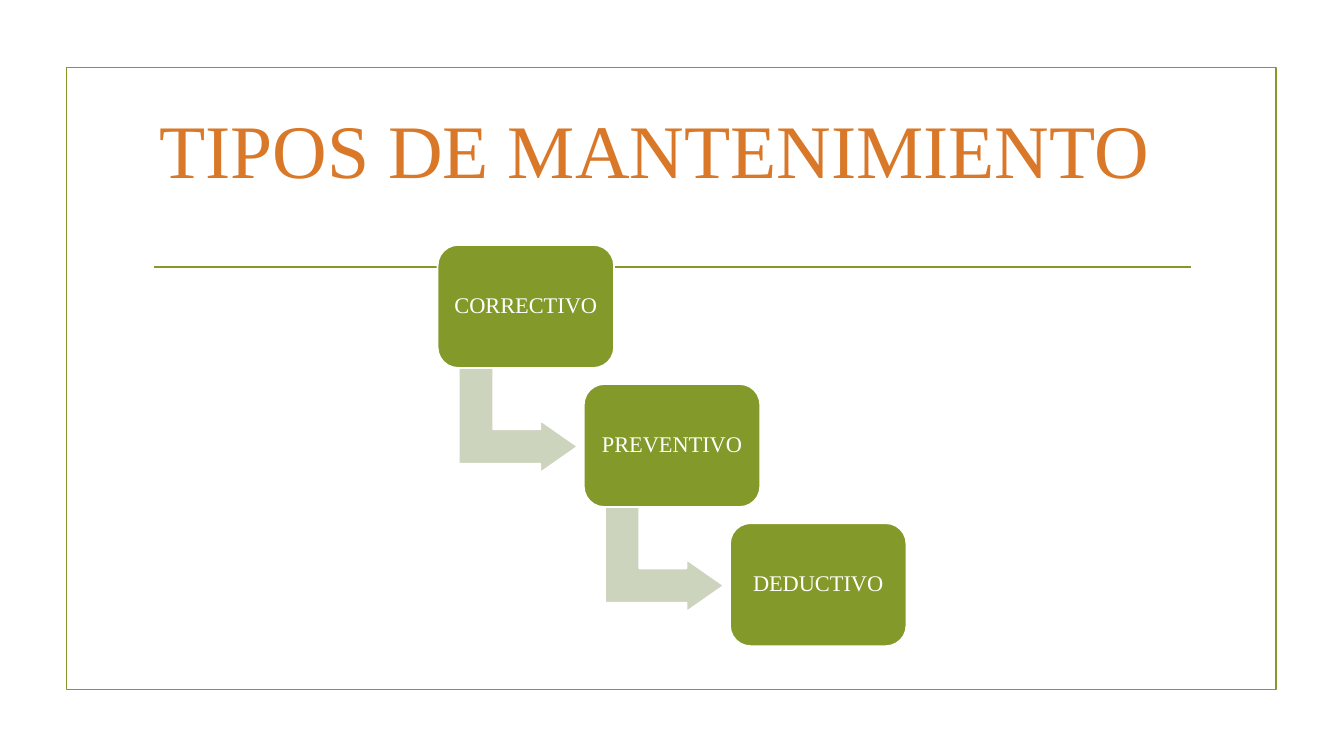
from pptx import Presentation
from pptx.dml.color import RGBColor
from pptx.enum.shapes import MSO_CONNECTOR, MSO_SHAPE
from pptx.enum.text import MSO_ANCHOR, MSO_AUTO_SIZE, PP_ALIGN
from pptx.oxml.ns import qn
from pptx.util import Inches, Pt
from lxml import etree

RECTANGLE = MSO_SHAPE.RECTANGLE
ROUNDED = MSO_SHAPE.ROUNDED_RECTANGLE
BENT_ARROW = MSO_SHAPE.BENT_UP_ARROW
STRAIGHT = MSO_CONNECTOR.STRAIGHT
MIDDLE = MSO_ANCHOR.MIDDLE
CENTER = PP_ALIGN.CENTER
GROW = MSO_AUTO_SIZE.SHAPE_TO_FIT_TEXT

FONT = "Times New Roman"
GREEN, PALE_GREEN, ORANGE, WHITE = "83992A", "CDD4BE", "D97828", "FFFFFF"
LINE_WIDTH = Pt(1.25)

STEPS = ["CORRECTIVO", "PREVENTIVO", "DEDUCTIVO"]
FIRST_LEFT, FIRST_TOP = 4.34, 2.43
STEP_RIGHT, STEP_DOWN = 1.45, 1.38


def color(hex_value):
    return RGBColor.from_string(hex_value)


def add_box(page, preset, left, top, width, height, line, fill=None, adjustments=()):
    box = page.shapes.add_shape(
        preset, Inches(left), Inches(top), Inches(width), Inches(height))
    box.shadow.inherit = False
    if fill:
        box.fill.solid()
        box.fill.fore_color.rgb = color(fill)
    else:
        box.fill.background()
    box.line.color.rgb = color(line)
    box.line.width = LINE_WIDTH
    for index, value in enumerate(adjustments):
        box.adjustments[index] = value
    return box


def add_rule(page, left, right, top):
    rule = page.shapes.add_connector(
        STRAIGHT, Inches(left), Inches(top), Inches(right), Inches(top))
    rule.line.color.rgb = color(GREEN)
    rule.line.width = LINE_WIDTH
    etree.SubElement(rule._element.spPr, qn("a:effectLst"))


def write(frame, text, size, hex_value):
    frame.text = text
    para = frame.paragraphs[0]
    para.alignment = CENTER
    span = para.runs[0]
    span.font.name = FONT
    span.font.size = Pt(size)
    span.font.color.rgb = color(hex_value)
    return para


def add_title(page, text):
    box = page.shapes.add_textbox(
        Inches(1.31), Inches(0.97), Inches(10.36), Inches(1.01))
    box.text_frame.word_wrap = False
    box.text_frame.auto_size = GROW
    write(box.text_frame, text, 54, ORANGE)


def add_step(page, left, top, text):
    box = add_box(page, ROUNDED, left, top, 1.75, 1.22, WHITE, GREEN, [0.167])
    frame = box.text_frame
    frame.word_wrap = True
    frame.vertical_anchor = MIDDLE
    frame.margin_left = frame.margin_right = Inches(0.07)
    frame.margin_top = frame.margin_bottom = Inches(0.07)
    para = write(frame, text, 16, WHITE)
    para.line_spacing = 0.9


def add_step_arrow(page, left, top):
    arrow = add_box(page, BENT_ARROW, left, top, 1.04, 1.18, WHITE, PALE_GREEN,
                    [0.328, 0.25, 0.358])
    arrow.rotation = 90


def main():
    deck = Presentation()
    deck.slide_width, deck.slide_height = Inches(13.33), Inches(7.5)
    page = deck.slides.add_slide(deck.slide_layouts[6])

    # Frame and rule
    add_box(page, RECTANGLE, 0.66, 0.67, 12, 6.17, GREEN)
    add_rule(page, 1.53, 11.81, 2.65)

    # Staircase of steps, with an arrow from each to the next
    for index, step in enumerate(STEPS):
        left = FIRST_LEFT + index * STEP_RIGHT
        top = FIRST_TOP + index * STEP_DOWN
        if index < len(STEPS) - 1:
            add_step_arrow(page, left + 0.28, top + 1.15)
        add_step(page, left, top, step)

    # Title
    add_title(page, "TIPOS DE MANTENIMIENTO")

    deck.save("out.pptx")


if __name__ == "__main__":
    main()
